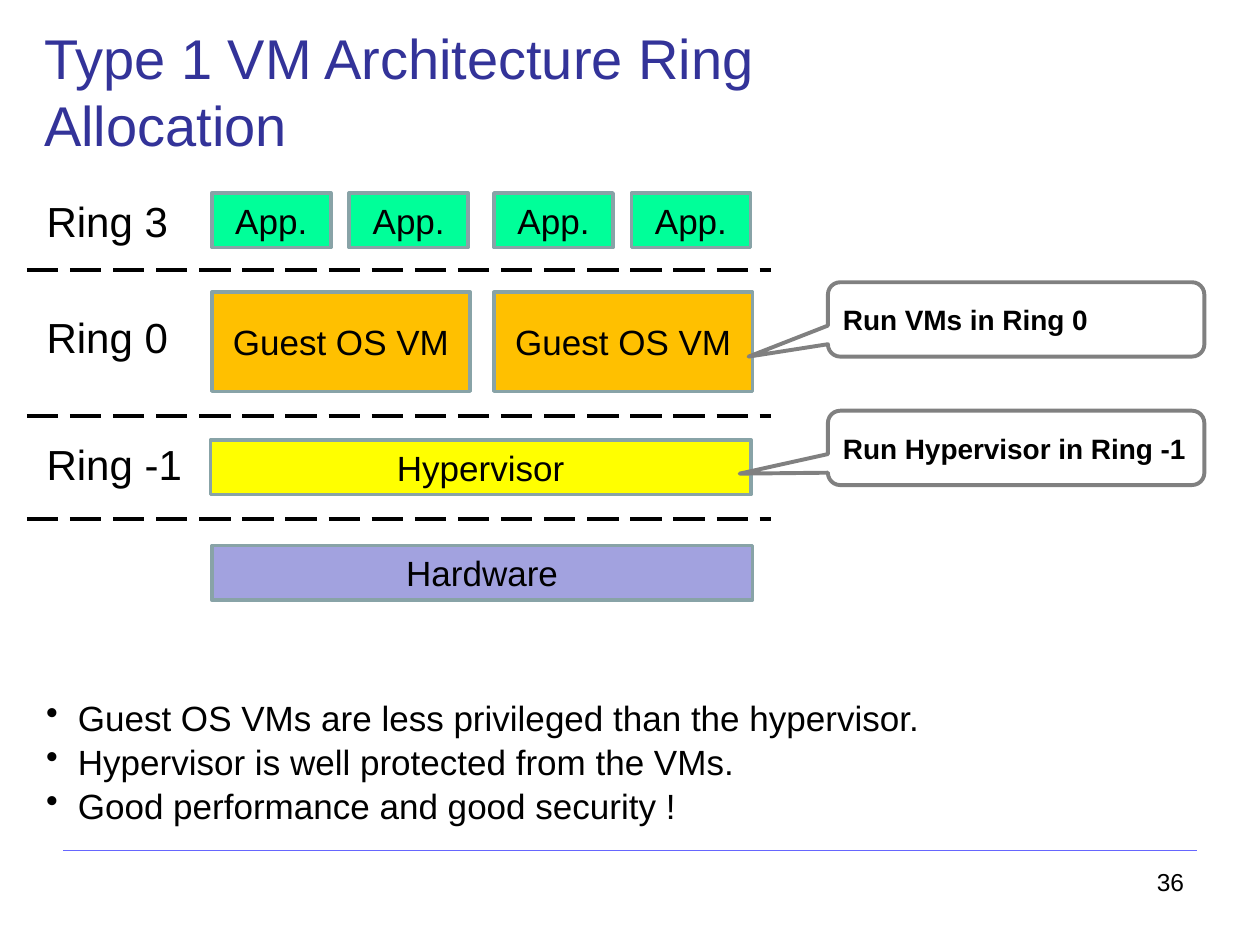
import pptx
import pptx.dml.color
import pptx.enum.dml
import pptx.enum.shapes
import pptx.enum.text
import pptx.oxml
import pptx.oxml.ns
import pptx.util
from pptx.util import Cm

COLORS = {
    "title": "333399", "text": "000000", "rule": "6666FF", "edge": "88A3A7",
    "app": "00FF99", "guest": "FFC000", "hypervisor": "FFFF00",
    "hardware": "A2A2DF", "callout": "FFFFFF", "callout_edge": "808080",
}
SHAPE = pptx.enum.shapes.MSO_SHAPE
ALIGN = pptx.enum.text.PP_ALIGN
ANCHOR = pptx.enum.text.MSO_ANCHOR


def rgb(name):
    return pptx.dml.color.RGBColor.from_string(COLORS[name])


def element(tag, **attributes):
    el = pptx.oxml.parse_xml(f"<{tag} {pptx.oxml.ns.nsdecls('a')}/>")
    for key, value in attributes.items():
        el.set(key, str(value))
    return el


def write(tf, text, size=20, color="text", bold=False, align=ALIGN.LEFT,
          anchor=ANCHOR.TOP, left=0, top=0, bullet=False, gap=0):
    """Fill a text frame, one paragraph per line of text."""
    tf.word_wrap = True
    tf.vertical_anchor = anchor
    tf.margin_left, tf.margin_top = Cm(left), Cm(top)
    tf.margin_right = tf.margin_bottom = 0
    for i, line in enumerate(text.split("\n")):
        p = tf.paragraphs[0] if i == 0 else tf.add_paragraph()
        p.alignment = align
        p.space_before = pptx.util.Pt(gap if i else 0)
        if bullet:
            pPr = p._p.get_or_add_pPr()
            pPr.set("marL", str(Cm(0.66)))
            pPr.set("indent", str(-Cm(0.64)))
            pPr.append(element("a:buChar", char="•"))
        r = p.add_run()
        r.text = line
        r.font.name = "Arial"
        r.font.size = pptx.util.Pt(size)
        r.font.bold = bold
        r.font.color.rgb = rgb(color)


class Deck:
    def __init__(self, width, height):
        self.prs = pptx.Presentation()
        self.prs.slide_width, self.prs.slide_height = Cm(width), Cm(height)
        self.s = None

    def add_slide(self):
        self.s = self.prs.slides.add_slide(self.prs.slide_layouts[5])

    def title(self, text, x, y, w, h):
        sp = self.s.shapes.title
        sp.left, sp.top, sp.width, sp.height = Cm(x), Cm(y), Cm(w), Cm(h)
        write(sp.text_frame, text, size=32, color="title", top=0.04)
        sp.text_frame.auto_size = pptx.enum.text.MSO_AUTO_SIZE.NONE

    def text(self, text, x, y, w, h, **fmt):
        sp = self.s.shapes.add_textbox(Cm(x), Cm(y), Cm(w), Cm(h))
        write(sp.text_frame, text, **fmt)

    def shape(self, kind, x, y, w, h, fill, edge, weight):
        sp = self.s.shapes.add_shape(kind, Cm(x), Cm(y), Cm(w), Cm(h))
        sp.shadow.inherit = False
        sp.fill.solid()
        sp.fill.fore_color.rgb = rgb(fill)
        sp.line.color.rgb = rgb(edge)
        sp.line.width = pptx.util.Pt(weight)
        return sp

    def box(self, text, x, y, w, h, fill):
        sp = self.shape(SHAPE.RECTANGLE, x, y, w, h, fill, "edge", 2)
        write(sp.text_frame, text, align=ALIGN.CENTER, anchor=ANCHOR.MIDDLE)

    def callout(self, text, x, y, w, h, tip):
        sp = self.shape(SHAPE.ROUNDED_RECTANGULAR_CALLOUT, x, y, w, h,
                        "callout", "callout_edge", 2.25)
        sp.adjustments[0] = (tip[0] - x) / w - 0.5
        sp.adjustments[1] = (tip[1] - y) / h - 0.5
        write(sp.text_frame, text, size=16, bold=True, anchor=ANCHOR.MIDDLE,
              left=0.23)

    def line(self, x1, x2, y, color, weight, dash=None):
        """Draw a horizontal line."""
        c = self.s.shapes.add_connector(
            pptx.enum.shapes.MSO_CONNECTOR.STRAIGHT, Cm(x1), Cm(y), Cm(x2), Cm(y))
        c.line.color.rgb = rgb(color)
        c.line.width = pptx.util.Pt(weight)
        if dash:
            c.line.dash_style = dash
        c._element.spPr.append(element("a:effectLst"))


def main():
    deck = Deck(25.4, 19.05)
    deck.add_slide()
    deck.title("Type 1 VM Architecture Ring Allocation", 0.89, 0.43, 18.5, 1.42)

    for name, y in (("Ring 3", 3.91), ("Ring 0", 6.25), ("Ring -1", 8.81)):
        deck.text(name, 0.94, y, 2.85, 1.09, size=24, top=0.04)
    for y in (5.44, 8.38, 10.46):
        deck.line(0.54, 15.54, y, "text", 2.25,
                  pptx.enum.dml.MSO_LINE.LONG_DASH)

    for x in (4.27, 9.96):
        for app_x in (x, x + 2.77):
            deck.box("App.", app_x, 3.89, 2.4, 1.1, "app")
        deck.box("Guest OS VM", x, 5.89, 5.21, 2, "guest")
    deck.box("Hypervisor", 4.24, 8.87, 10.9, 1.1, "hypervisor")
    deck.box("Hardware", 4.27, 11, 10.9, 1.1, "hardware")

    deck.callout("Run VMs in Ring 0", 16.69, 5.69, 7.59, 1.5, (15.09, 7.19))
    deck.callout("Run Hypervisor in Ring -1", 16.69, 8.28, 7.59, 1.5,
                 (14.91, 9.55))

    deck.text("Guest OS VMs are less privileged than the hypervisor.\n"
              "Hypervisor is well protected from the VMs.\n"
              "Good performance and good security !",
              0.91, 13.97, 18.5, 2.74, top=0.07, bullet=True, gap=1.2)
    deck.line(1.27, 24.13, 17.15, "rule", 0.75)
    deck.text("36", 23.22, 17.48, 0.76, 0.64, size=14, left=0.1)
    deck.prs.save("out.pptx")


if __name__ == "__main__":
    main()
